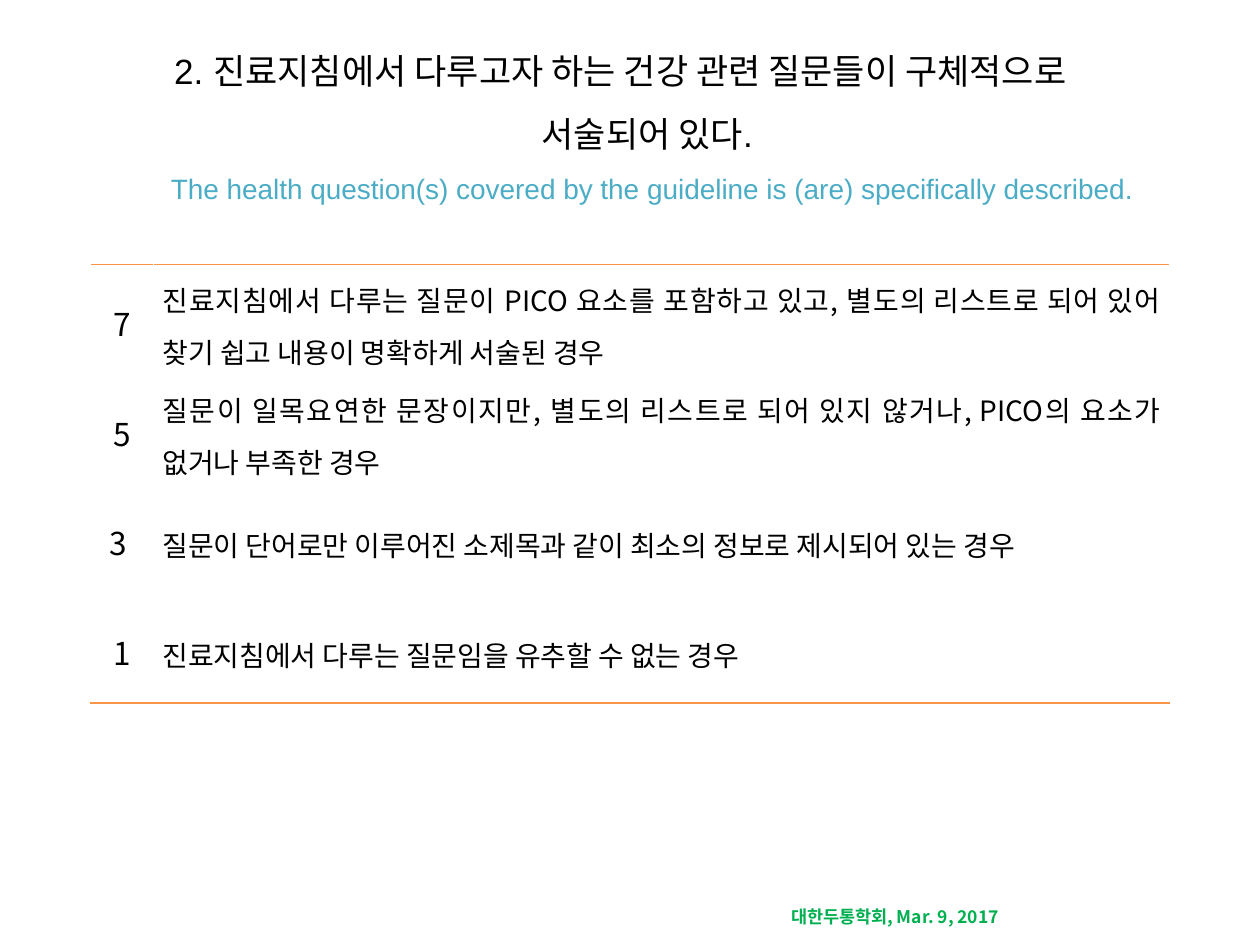
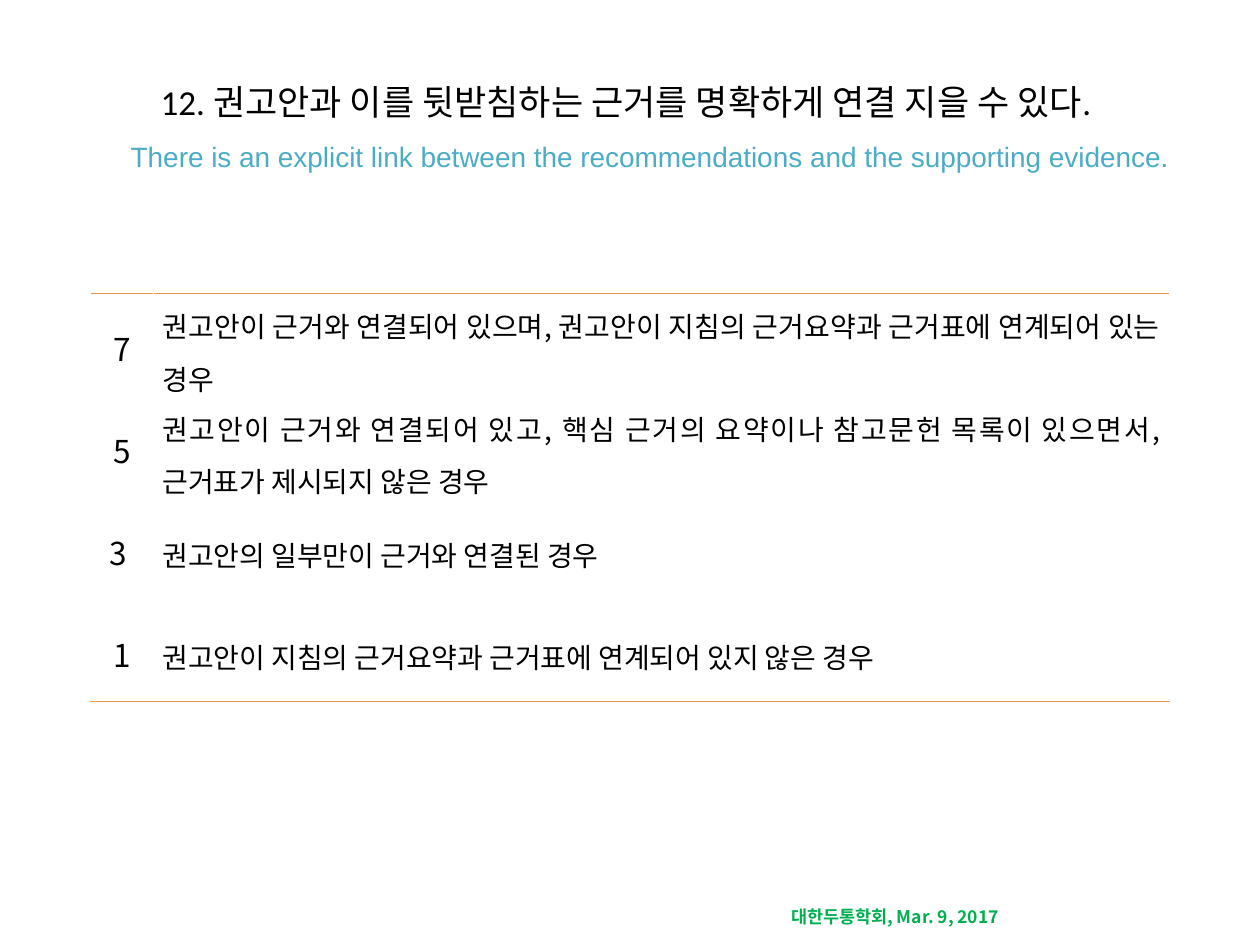
from pptx import Presentation
from pptx.dml.color import RGBColor as RGB
from pptx.enum.text import MSO_ANCHOR as Anchor, PP_ALIGN as Align
from pptx.oxml.ns import qn
from pptx.util import Inches, Pt
from lxml.etree import SubElement as Sub

COLORS = {"text": "000000", "sub": "4BACC6", "rule": "F79646", "foot": "00B050"}
KOREAN = "Noto Sans CJK KR"
SCORES = ["7", "5", "3 ", "1"]

SLIDES = [
    {
        "box": (0.75, 0.3, 8.35, 1.25), "indent": 0.5, "face": "Arial",
        "title": "2. 진료지침에서 다루고자 하는 건강 관련 질문들이 구체적으로 서술되어 있다. ",
        "sub": "The health question(s) covered by the guideline is (are) specifically described.",
        "top": 2.1, "row": 0.87,
        "rules": [
            "진료지침에서 다루는 질문이 PICO 요소를 포함하고 있고, 별도의 리스트로 되어 있어 찾기 쉽고 내용이 명확하게 서술된 경우",
            "질문이 일목요연한 문장이지만, 별도의 리스트로 되어 있지 않거나, PICO의 요소가 없거나 부족한 경우",
            "질문이 단어로만 이루어진 소제목과 같이 최소의 정보로 제시되어 있는 경우",
            "진료지침에서 다루는 질문임을 유추할 수 없는 경우",
        ],
    },
    {
        "box": (0.5, 0.3, 9, 1.25), "indent": 0.38, "face": "Calibri",
        "title": "12. 권고안과 이를 뒷받침하는 근거를 명확하게 연결 지을 수 있다. ",
        "sub": "There is an explicit link between the recommendations and the supporting evidence. ",
        "top": 2.33, "row": 0.81,
        "rules": [
            "권고안이 근거와 연결되어 있으며, 권고안이 지침의 근거요약과 근거표에 연계되어 있는 경우",
            "권고안이 근거와 연결되어 있고, 핵심 근거의 요약이나 참고문헌 목록이 있으면서, 근거표가 제시되지 않은 경우",
            "권고안의 일부만이 근거와 연결된 경우",
            "권고안이 지침의 근거요약과 근거표에 연계되어 있지 않은 경우",
        ],
    },
]


def set_font(font, size, color, face=KOREAN, bold=False):
    font.size, font.name, font.bold = Pt(size), face, bold
    font.color.rgb = RGB.from_string(COLORS[color])


def set_east(para):
    """Give Korean letters their own font, on the paragraph and its runs."""
    for tag in ("a:defRPr", "a:rPr"):
        for props in para._p.iter(qn(tag)):
            latin = props.find(qn("a:latin"))
            if latin is not None:
                east = Sub(props, qn("a:ea"), typeface=KOREAN)
                latin.addnext(east)


def add_box(slide, box):
    frame = slide.shapes.add_textbox(*map(Inches, box)).text_frame
    frame.word_wrap = True
    return frame


def add_title(slide, box, data):
    frame = add_box(slide, box)
    frame.vertical_anchor = Anchor.MIDDLE
    para = frame.paragraphs[0]
    para.alignment, para.line_spacing = Align.CENTER, 1.5
    # Hanging indent
    props = para._p.get_or_add_pPr()
    props.set("marL", str(Inches(data["indent"])))
    props.set("indent", str(-Inches(data["indent"])))
    # Korean heading above its English wording
    head = para.add_run()
    head.text = data["title"]
    set_font(head.font, 20, "text", data["face"])
    para.add_line_break()
    sub = para.add_run()
    sub.text = data["sub"]
    set_font(sub.font, 16, "sub", "Arial")
    set_east(para)


def add_edge(cell, side):
    line = Sub(cell._tc.get_or_add_tcPr(), qn(f"a:{side}"), w=str(Pt(1)))
    fill = Sub(line, qn("a:solidFill"))
    Sub(fill, qn("a:srgbClr"), val=COLORS["rule"])


def fill_cell(cell, text, size, align, space):
    cell.margin_left = cell.margin_right = Inches(0.07)
    cell.margin_top = cell.margin_bottom = 0
    cell.vertical_anchor = Anchor.MIDDLE
    para = cell.text_frame.paragraphs[0]
    para.text = text
    para.alignment, para.line_spacing = align, space
    set_font(para.font, size, "text")
    set_east(para)


def add_scores(slide, box, rules):
    left, top, width, height = map(Inches, box)
    table = slide.shapes.add_table(len(rules), 2, left, top, width, height).table
    table.first_row = table.horz_banding = False
    table.columns[0].width = Inches(0.5)
    table.columns[1].width = width - Inches(0.5)
    for row, (score, rule) in enumerate(zip(SCORES, rules)):
        fill_cell(table.cell(row, 0), score, 18, Align.CENTER, 1.15)
        fill_cell(table.cell(row, 1), rule, 16, Align.JUSTIFY, 1.3)
        for cell in table.rows[row].cells:
            # Lines only above the first row and below the last
            if row == 0:
                add_edge(cell, "lnT")
            if row == len(rules) - 1:
                add_edge(cell, "lnB")
            cell.fill.background()


def add_footer(slide, box):
    para = add_box(slide, box).paragraphs[0]
    para.text = "대한두통학회, Mar. 9, 2017"
    set_font(para.font, 10, "foot", bold=True)
    set_east(para)


def main():
    deck = Presentation()
    deck.slide_width, deck.slide_height = Inches(10), Inches(7.5)
    for data in SLIDES:
        slide = deck.slides.add_slide(deck.slide_layouts[6])
        add_footer(slide, (6.18, 7.14, 2.2, 0.27))
        add_title(slide, data["box"], data)
        height = data["row"] * len(data["rules"])
        add_scores(slide, (0.72, data["top"], 8.56, height), data["rules"])
    deck.save("out.pptx")


if __name__ == "__main__":
    main()
